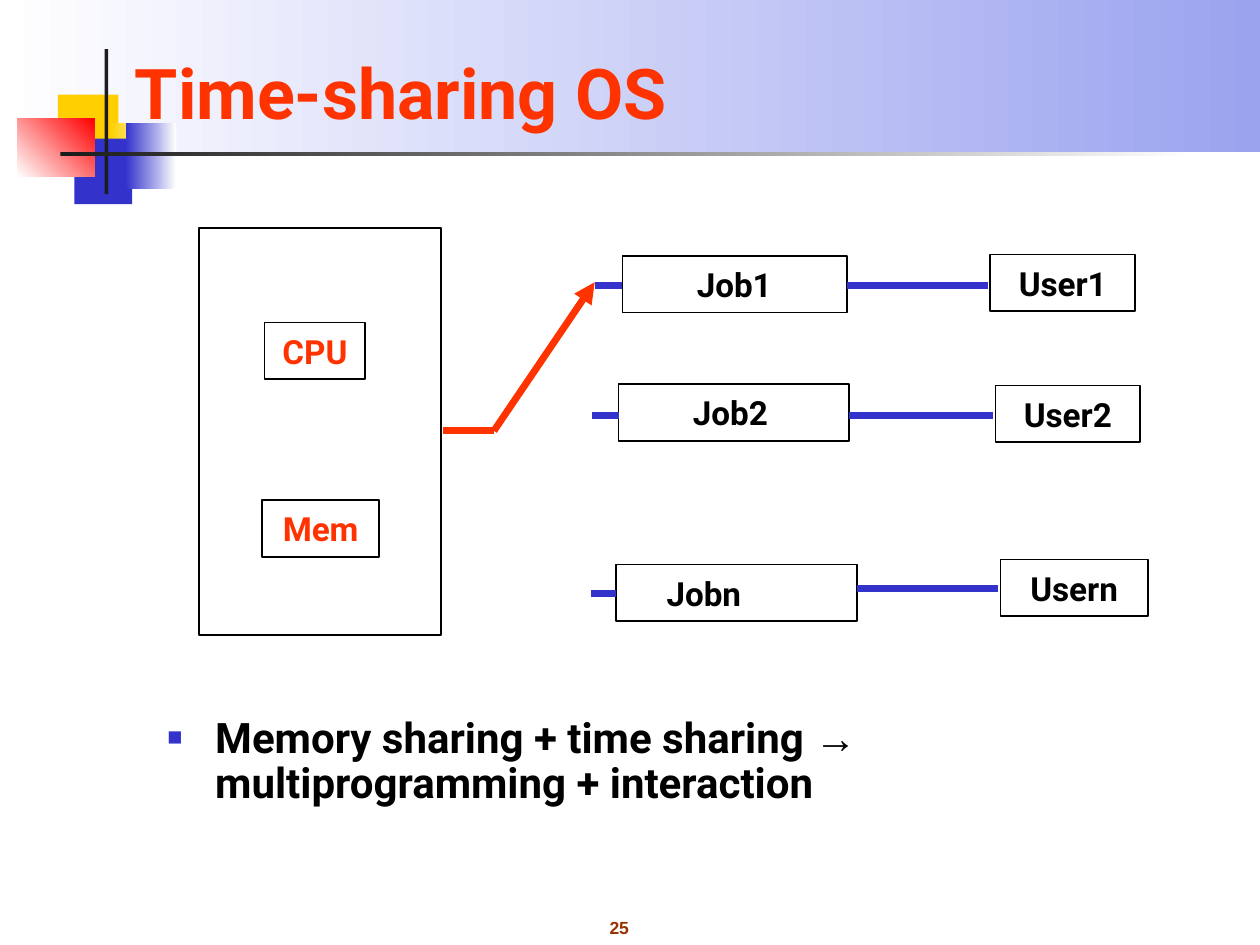
"""Build the time-sharing operating system slide."""
import lxml.etree
import pptx
import pptx.dml.color
import pptx.enum.shapes
import pptx.enum.text
import pptx.oxml
import pptx.oxml.ns
import pptx.util

Inches, Pt = pptx.util.Inches, pptx.util.Pt
ALIGN, ANCHOR = pptx.enum.text.PP_ALIGN, pptx.enum.text.MSO_ANCHOR
COLORS = {"white": "FFFFFF", "sky": "9BA3EF", "yellow": "FFCF01", "blue": "3333CC",
          "red": "FF0000", "ink": "1C1C1C", "orange": "FF3300", "black": "000000",
          "brown": "993300"}
TITLE = "Time-sharing OS"
PAGE_NUMBER = "25"
SUMMARY = [("Memory sharing + time sharing ", "Roboto"), ("→", "Arial"),
           (" multiprogramming + interaction", "Roboto")]
DECORATION = [
    ((0, 0, 10, 1.21), ("white", "sky"), 0),
    ((0.46, 0.75, 0.48, 0.52), ("yellow",), 0),
    ((0.88, 0.98, 0.36, 0.52), ("yellow", "white"), 0),
    ((0.59, 1.1, 0.46, 0.52), ("blue",), 0),
    ((1, 0.98, 0.4, 0.52), ("blue", "white"), 0),
    ((0.14, 0.94, 0.61, 0.46), ("white", "red"), 45),
    ((0.83, 0.39, 0.03, 1.15), ("ink",), 0),
    ((0.48, 1.21, 9, 0.03), ("ink", "white"), 0),
]
BOX_HEIGHT = 0.45
COMPUTER = (1.58, 1.81, 1.92, 3.23)
COMPUTER_PARTS = [("CPU", 2.1, 2.56, 0.8), ("Mem", 2.08, 3.97, 0.93)]
SESSIONS = [
    {"job": ("Job1", 4.94, 2.03, 1.78), "indent": 0.59, "user": ("User1", 7.86, 2.02, 1.15),
     "stub": (4.72, 2.27), "link_y": 2.27},
    {"job": ("Job2", 4.91, 3.05, 1.83), "indent": 0.59, "user": ("User2", 7.9, 3.06, 1.15),
     "stub": (4.7, 3.3), "link_y": 3.3},
    {"job": ("Jobn", 4.89, 4.48, 1.91), "indent": 0.4, "user": ("Usern", 7.94, 4.44, 1.17),
     "stub": (4.69, 4.71), "link_y": 4.67},
]
SWITCH = [(3.52, 3.42), (3.92, 3.42), (4.72, 2.24)]


def rgb(name):
    return pptx.dml.color.RGBColor.from_string(COLORS[name])


def apply(target, values):
    for attribute, value in values.items():
        setattr(target, attribute, value)


def style_font(font, size, color, face="Roboto"):
    apply(font, {"size": Pt(size), "bold": True, "name": face})
    font.color.rgb = rgb(color)


def add_rect(slide, place):
    rect = slide.shapes.add_shape(pptx.enum.shapes.MSO_SHAPE.RECTANGLE, *map(Inches, place))
    rect.shadow.inherit = False
    return rect


def add_decoration(slide, place, colors, angle):
    band = add_rect(slide, place)
    band.line.fill.background()
    if len(colors) == 1:
        band.fill.solid()
        band.fill.fore_color.rgb = rgb(colors[0])
        return
    band.fill.gradient()
    band.fill.gradient_angle = angle
    for stop, color in zip(band.fill.gradient_stops, colors):
        stop.color.rgb = rgb(color)


def add_frame(slide, place):
    frame = add_rect(slide, place)
    frame.fill.background()
    frame.line.width = Pt(1)
    frame.line.color.rgb = rgb("black")
    return frame


def add_box(slide, label, left, top, width, color="black", indent=None):
    text = add_frame(slide, (left, top, width, BOX_HEIGHT)).text_frame
    apply(text, {"word_wrap": indent is not None, "vertical_anchor": ANCHOR.MIDDLE,
                 "margin_left": Inches(indent or 0.13), "margin_right": Inches(0.13),
                 "margin_top": Inches(0.07), "margin_bottom": Inches(0.07)})
    paragraph = text.paragraphs[0]
    paragraph.text = label
    paragraph.alignment = ALIGN.LEFT if indent else ALIGN.CENTER
    style_font(paragraph.runs[0].font, 19, color)


def add_line(slide, start, end, color="blue", arrow=False):
    line = slide.shapes.add_connector(pptx.enum.shapes.MSO_CONNECTOR.STRAIGHT,
                                      *map(Inches, start + end))
    line.line.width = Pt(4)
    line.line.color.rgb = rgb(color)
    properties = line._element.spPr
    if arrow:
        outline = properties.find(pptx.oxml.ns.qn("a:ln"))
        lxml.etree.SubElement(outline, pptx.oxml.ns.qn("a:tailEnd"), type="triangle")
    lxml.etree.SubElement(properties, pptx.oxml.ns.qn("a:effectLst"))


def add_text(slide, place, runs, size, color, wrap=True):
    text = slide.shapes.add_textbox(*map(Inches, place)).text_frame
    text.word_wrap = wrap
    paragraph = text.paragraphs[0]
    for words, face in runs:
        run = paragraph.add_run()
        run.text = words
        style_font(run.font, size, color, face)
    return paragraph


def add_bullet(paragraph):
    properties = paragraph._p.get_or_add_pPr()
    apply(paragraph, {"line_spacing": 0.9})
    for name, value in {"marL": 0.38, "indent": -0.38}.items():
        properties.set(name, str(Inches(value)))
    color = lxml.etree.SubElement(properties, pptx.oxml.ns.qn("a:buClr"))
    lxml.etree.SubElement(color, pptx.oxml.ns.qn("a:srgbClr"), val=COLORS["blue"])
    for tag, attributes in [("a:buSzPct", {"val": "60000"}),
                            ("a:buFont", {"typeface": "Arial"}),
                            ("a:buChar", {"char": "■"})]:
        lxml.etree.SubElement(properties, pptx.oxml.ns.qn(tag), attributes)


def add_title(slide):
    title = slide.shapes.title
    apply(title, {"left": Inches(0.97), "top": Inches(0.21),
                  "width": Inches(8.84), "height": Inches(0.9)})
    title.text_frame.text = TITLE
    title.text_frame.vertical_anchor = ANCHOR.BOTTOM
    paragraph = title.text_frame.paragraphs[0]
    paragraph.alignment = ALIGN.LEFT
    style_font(paragraph.runs[0].font, 40, "orange")
    slide.shapes._spTree.append(title._element)


def main():
    deck = pptx.Presentation()
    apply(deck, {"slide_width": Inches(10), "slide_height": Inches(7.5)})
    slide = deck.slides.add_slide(deck.slide_layouts[5])
    for place, colors, angle in DECORATION:
        add_decoration(slide, place, colors, angle)
    add_title(slide)
    number = add_text(slide, (4.48, 7.23, 0.87, 0.27), [(PAGE_NUMBER, "Arial")],
                      10, "brown", wrap=False)
    number.alignment = ALIGN.CENTER
    add_frame(slide, COMPUTER)
    for part in COMPUTER_PARTS:
        add_box(slide, *part, color="orange")
    for session in SESSIONS:
        _, job_left, _, job_width = session["job"]
        stub, link_y = session["stub"], session["link_y"]
        add_box(slide, *session["job"], indent=session["indent"])
        add_box(slide, *session["user"])
        add_line(slide, stub, (job_left, stub[1]))
        add_line(slide, (job_left + job_width, link_y), (session["user"][1] - 0.02, link_y))
    add_line(slide, SWITCH[0], SWITCH[1], "orange")
    add_line(slide, SWITCH[1], SWITCH[2], "orange", arrow=True)
    add_bullet(add_text(slide, (1.23, 5.64, 8.32, 0.87), SUMMARY, 24, "black"))
    deck.save("out.pptx")


if __name__ == "__main__":
    main()
